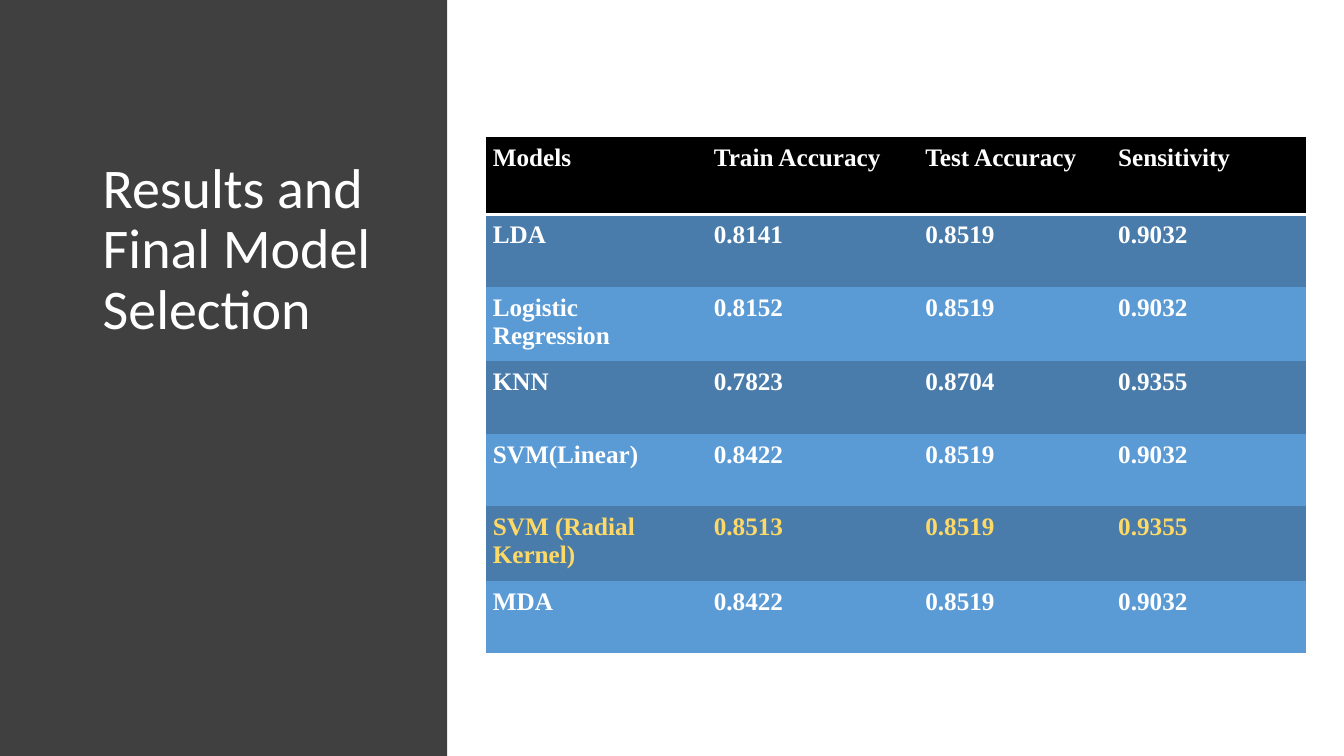
import pptx
import pptx.dml.color
import pptx.enum.shapes
import pptx.enum.text
import pptx.oxml
import pptx.oxml.ns
import pptx.util
from dataclasses import dataclass

Cm, Pt = pptx.util.Cm, pptx.util.Pt
qn = pptx.oxml.ns.qn
RGB = pptx.dml.color.RGBColor.from_string


@dataclass(frozen=True)
class Theme:
    panel: str = "404040"
    light: str = "FFFFFF"
    header: str = "000000"
    bands: tuple = ("497CAB", "5B9BD5")
    highlight: str = "FFD966"
    title_font: str = "Calibri"
    table_font: str = "Times New Roman"
    title_size: int = 40
    table_size: int = 18
    rule_width: int = 2
    no_grid_style: str = "{2D5ABB26-0587-4C30-8999-92F81FD0307C}"


class SlideBuilder:
    def __init__(self, slide, theme):
        self.s = slide
        self.theme = theme

    def style(self, p, font, size, color, bold=False):
        p.font.name = font
        p.font.size = Pt(size)
        p.font.bold = bold
        p.font.color.rgb = RGB(color)

    def panel(self, left, top, width, height):
        sp = self.s.shapes.add_shape(
            pptx.enum.shapes.MSO_SHAPE.RECTANGLE,
            Cm(left), Cm(top), Cm(width), Cm(height))
        sp.shadow.inherit = False
        sp.fill.solid()
        sp.fill.fore_color.rgb = RGB(self.theme.panel)
        sp.line.fill.background()

    def title(self, text, left, top, width, height):
        sp = self.s.shapes.add_textbox(Cm(left), Cm(top), Cm(width), Cm(height))
        tf = sp.text_frame
        tf.word_wrap = True
        tf.vertical_anchor = pptx.enum.text.MSO_ANCHOR.TOP
        p = tf.paragraphs[0]
        p.text = text
        p.line_spacing = 0.9
        self.style(p, self.theme.title_font, self.theme.title_size, self.theme.light)

    def bottom_rule(self, cell):
        line = pptx.oxml.parse_xml(
            f'<a:lnB {pptx.oxml.ns.nsdecls("a")} w="{Pt(self.theme.rule_width)}">'
            f'<a:solidFill><a:srgbClr val="{self.theme.light}"/></a:solidFill></a:lnB>')
        cell._tc.get_or_add_tcPr().insert(0, line)

    def cell(self, cell, text, fill, color):
        cell.margin_left = cell.margin_right = Cm(0.18)
        cell.margin_top = cell.margin_bottom = Cm(0.18)
        cell.fill.solid()
        cell.fill.fore_color.rgb = RGB(fill)
        p = cell.text_frame.paragraphs[0]
        p.text = text
        self.style(p, self.theme.table_font, self.theme.table_size, color, bold=True)

    def table(self, rows, best, left, top, widths, header_height, row_height):
        heights = [header_height] + [row_height] * (len(rows) - 1)
        sp = self.s.shapes.add_table(
            len(rows), len(widths), Cm(left), Cm(top),
            Cm(sum(widths)), Cm(sum(heights)))
        next(sp._element.iter(qn("a:tableStyleId"))).text = self.theme.no_grid_style
        table = sp.table
        for column, width in zip(table.columns, widths):
            column.width = Cm(width)
        for i, (values, height) in enumerate(zip(rows, heights)):
            table.rows[i].height = Cm(height)
            fill = self.theme.bands[(i - 1) % 2] if i else self.theme.header
            color = self.theme.highlight if values[0] == best else self.theme.light
            for j, value in enumerate(values):
                self.cell(table.cell(i, j), value, fill, color)
                if i == 0:
                    self.bottom_rule(table.cell(i, j))


RESULTS = [
    ("Models", "Train Accuracy", "Test Accuracy", "Sensitivity"),
    ("LDA", "0.8141", "0.8519", "0.9032"),
    ("Logistic Regression", "0.8152", "0.8519", "0.9032"),
    ("KNN", "0.7823", "0.8704", "0.9355"),
    ("SVM(Linear)", "0.8422", "0.8519", "0.9032"),
    ("SVM (Radial Kernel)", "0.8513", "0.8519", "0.9355"),
    ("MDA", "0.8422", "0.8519", "0.9032"),
]


def main():
    prs = pptx.Presentation()
    prs.slide_width, prs.slide_height = Cm(33.87), Cm(19.05)
    s = SlideBuilder(prs.slides.add_slide(prs.slide_layouts[6]), Theme())

    # Title panel
    s.panel(0, 0, 11.27, 19.05)
    s.title("Results and Final Model Selection", 2.34, 3.91, 8.05, 12.12)

    # Model comparison, with the selected model highlighted
    s.table(RESULTS, "SVM (Radial Kernel)", 12.24, 3.45,
            widths=(5.57, 5.33, 4.86, 4.9), header_height=1.95, row_height=1.82)

    prs.save("out.pptx")


if __name__ == "__main__":
    main()
